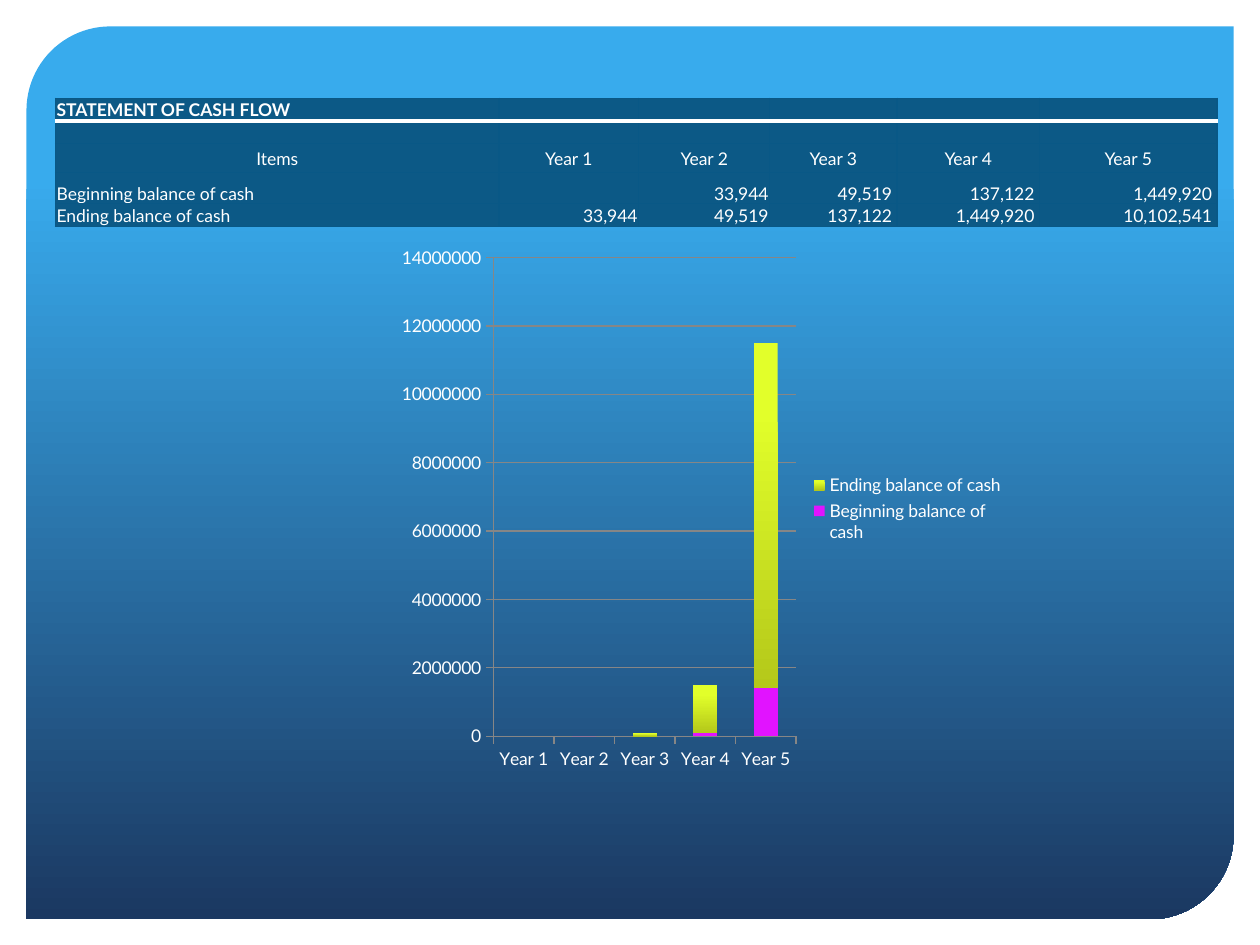
from dataclasses import dataclass

from lxml import etree
from pptx import Presentation
from pptx.chart.data import CategoryChartData
from pptx.dml.color import RGBColor
from pptx.enum.chart import XL_CHART_TYPE, XL_LEGEND_POSITION, XL_TICK_MARK
from pptx.enum.shapes import MSO_SHAPE
from pptx.enum.text import MSO_ANCHOR, PP_ALIGN
from pptx.oxml.ns import qn
from pptx.util import Inches, Pt

STACKED = XL_CHART_TYPE.COLUMN_STACKED
LEGEND_RIGHT = XL_LEGEND_POSITION.RIGHT
TICK_OUT = XL_TICK_MARK.OUTSIDE
PANEL_SHAPE = MSO_SHAPE.ROUND_2_DIAG_RECTANGLE
LEFT, CENTER, RIGHT = PP_ALIGN.LEFT, PP_ALIGN.CENTER, PP_ALIGN.RIGHT
MIDDLE, BOTTOM = MSO_ANCHOR.MIDDLE, MSO_ANCHOR.BOTTOM


@dataclass(frozen=True)
class Theme:
    font: str = "Lato"
    size: float = 10
    text: str = "FFFFFF"
    panel: tuple = ((0.17, "38ABED"), (1, "1B3861"))
    cell: str = "0C5986"
    border: str = "095886"
    border_width: float = 0.75
    rule_width: float = 2.5
    grid: str = "868686"
    beginning: str = "E113FF"
    ending: tuple = ((0.2, "E2FF2A"), (1, "B4C81A"))


THEME = Theme()
SLIDE_WIDTH, SLIDE_HEIGHT = 10, 7.5
COLUMNS = (3.52, 1.11, 1.04, 1.01, 1.13, 1.41)
ROWS = (0.17, 0.18, 0.23, 0.25, 0.18)
YEARS = [f"Year {number}" for number in range(1, 6)]
BALANCES = {
    "Beginning balance of cash": (None, 33944, 49519, 137122, 1449920),
    "Ending balance of cash": (33944, 49519, 137122, 1449920, 10102541),
}


def color(code):
    return RGBColor.from_string(code)


def place(left, top, width, height):
    """Turn shares of the slide's size into lengths."""
    return (Inches(left * SLIDE_WIDTH), Inches(top * SLIDE_HEIGHT),
            Inches(width * SLIDE_WIDTH), Inches(height * SLIDE_HEIGHT))


def fill_downward(fill, stops):
    fill.gradient()
    fill.gradient_angle = 270
    for stop, (position, code) in zip(fill.gradient_stops, stops):
        stop.position = position
        stop.color.rgb = color(code)


def format_font(font, bold=False):
    font.name = THEME.font
    font.size = Pt(THEME.size)
    font.bold = bold
    font.color.rgb = color(THEME.text)


def write_text(frame, text, align=LEFT, bold=False):
    """Write one paragraph; an empty one still gets the type size, to keep its row low."""
    para = frame.paragraphs[0]
    para.alignment = align
    if text:
        span = para.add_run()
        span.text = text
        format_font(span.font, bold)
    else:
        etree.SubElement(para._p, qn("a:endParaRPr"), sz=str(THEME.size * 100))


def set_border(cell, sides, code, width):
    properties = cell._tc.get_or_add_tcPr()
    for index, side in enumerate(sides):
        line = etree.Element(qn(f"a:ln{side}"), w=str(Pt(width)))
        solid = etree.SubElement(line, qn("a:solidFill"))
        etree.SubElement(solid, qn("a:srgbClr"), val=code)
        properties.insert(index, line)


def style_cell(cell, row, column):
    cell.margin_left = cell.margin_top = Inches(0.01)
    cell.margin_right = Inches(0.04 if row > 2 and column > 2 else 0.01)
    cell.margin_bottom = 0
    cell.vertical_anchor = BOTTOM if row > 2 else MIDDLE
    cell.fill.solid()
    cell.fill.fore_color.rgb = color(THEME.cell)
    if row == 0:
        set_border(cell, "B", THEME.text, THEME.rule_width)
        set_border(cell, "LRT", THEME.border, THEME.border_width)
    elif row == 1:
        set_border(cell, "B", THEME.border, THEME.border_width)
        set_border(cell, "T", THEME.text, THEME.rule_width)
        set_border(cell, "LR", THEME.border, THEME.border_width)
    else:
        set_border(cell, "LRTB", THEME.border, THEME.border_width)


def add_panel(page):
    panel = page.shapes.add_shape(PANEL_SHAPE, *place(0.021, 0.028, 0.958, 0.945))
    panel.adjustments[0] = 0.094
    panel.adjustments[1] = 0
    panel.shadow.inherit = False
    panel.line.fill.background()
    fill_downward(panel.fill, THEME.panel)


def add_cash_table(page):
    blank = [""] * len(YEARS)
    contents = [["STATEMENT OF CASH FLOW", *blank], ["", *blank], ["Items", *YEARS]]
    for name, values in BALANCES.items():
        contents.append([name] + ["" if value is None else f"{value:,}" for value in values])

    frame = page.shapes.add_table(len(ROWS), len(COLUMNS),
                                  *place(0.044, 0.104, 0.922, 0.135))
    table = frame.table
    for column, width in zip(table.columns, COLUMNS):
        column.width = Inches(width)
    for row, height in zip(table.rows, ROWS):
        row.height = Inches(height)
    for row, texts in enumerate(contents):
        for column, text in enumerate(texts):
            cell = table.cell(row, column)
            style_cell(cell, row, column)
            align = CENTER if row == 2 else RIGHT if row > 2 and column else LEFT
            write_text(cell.text_frame, text, align=align, bold=row == 0)


def set_line(line):
    line.color.rgb = color(THEME.grid)
    line.width = Pt(0.75)


def style_axis(axis):
    axis.major_tick_mark = TICK_OUT
    format_font(axis.tick_labels.font)
    set_line(axis.format.line)


def add_cash_chart(page):
    data = CategoryChartData()
    data.categories = YEARS
    for name, values in BALANCES.items():
        data.add_series(name, [None if value is None else round(value, -5)
                               for value in values])
    frame = page.shapes.add_chart(STACKED, *place(0.309, 0.25, 0.498, 0.576), data)
    chart = frame.chart
    chart.has_title = False
    format_font(chart.font)

    plot = chart.plots[0]
    plot.vary_by_categories = False
    plot.gap_width, plot.overlap = 150, 100
    beginning, ending = plot.series
    beginning.format.fill.solid()
    beginning.format.fill.fore_color.rgb = color(THEME.beginning)
    fill_downward(ending.format.fill, THEME.ending)

    for axis in (chart.category_axis, chart.value_axis):
        style_axis(axis)
    values = chart.value_axis
    values.minimum_scale, values.maximum_scale, values.major_unit = 0, 14000000, 2000000
    values.tick_labels.number_format = "0"
    values.tick_labels.number_format_is_linked = False
    values.has_major_gridlines = True
    set_line(values.major_gridlines.format.line)

    chart.has_legend = True
    chart.legend.position = LEGEND_RIGHT
    chart.legend.include_in_layout = False
    format_font(chart.legend.font)


def main():
    deck = Presentation()
    deck.slide_width, deck.slide_height = Inches(SLIDE_WIDTH), Inches(SLIDE_HEIGHT)
    page = deck.slides.add_slide(deck.slide_layouts[6])
    add_panel(page)
    add_cash_table(page)
    add_cash_chart(page)
    deck.save("out.pptx")


if __name__ == "__main__":
    main()
